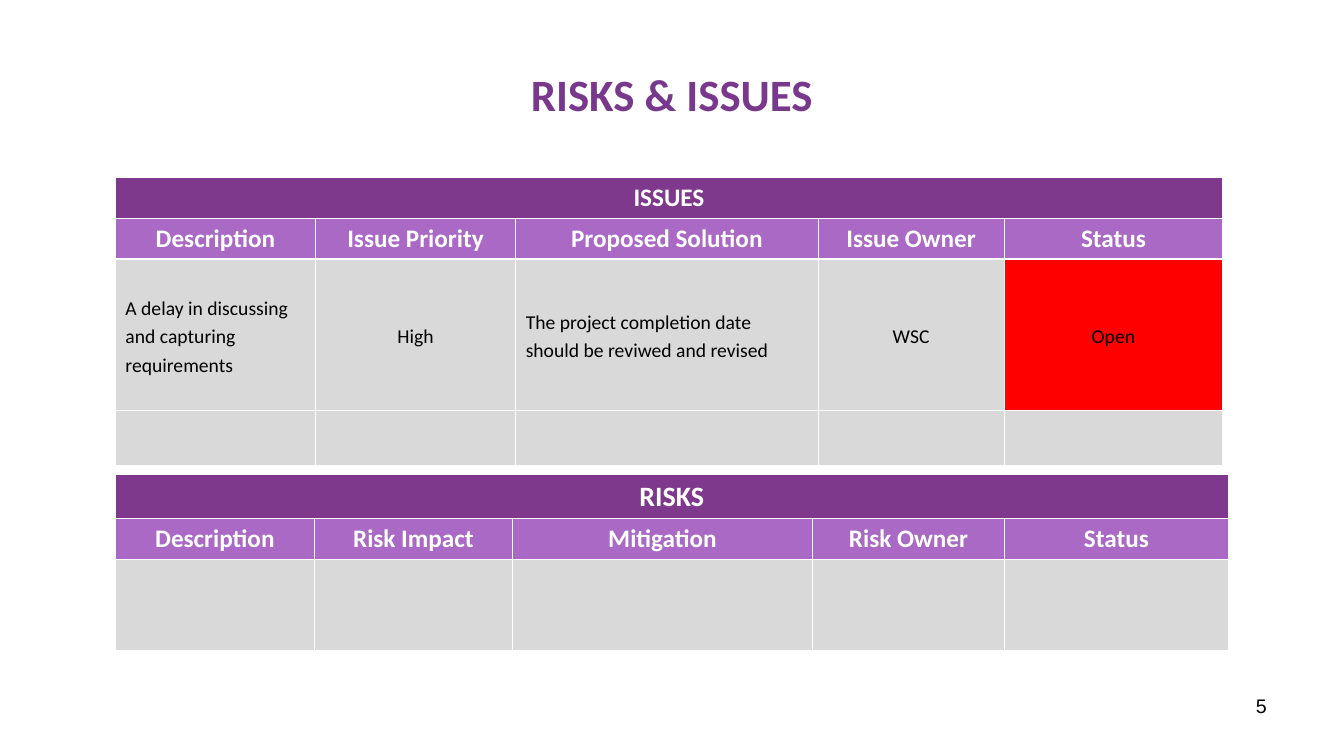
from lxml import etree
from pptx import Presentation
from pptx.dml.color import RGBColor
from pptx.enum import text
from pptx.oxml import ns
from pptx.util import Pt

PURPLE = RGBColor(0x78, 0x39, 0x8D)
BANNER = RGBColor(0x7F, 0x39, 0x8C)
HEADING = RGBColor(0xA9, 0x69, 0xC4)
GREY = RGBColor(0xD9, 0xD9, 0xD9)
RED = RGBColor(0xFF, 0x00, 0x00)
WHITE = RGBColor(0xFF, 0xFF, 0xFF)
BLACK = RGBColor(0x00, 0x00, 0x00)
LEFT, CENTER, RIGHT = text.PP_ALIGN.LEFT, text.PP_ALIGN.CENTER, text.PP_ALIGN.RIGHT
MIDDLE = text.MSO_ANCHOR.MIDDLE


def write(frame, words, size, color, bold=False, align=CENTER, face="Calibri"):
    paragraph = frame.paragraphs[0]
    paragraph.alignment = align
    run = paragraph.add_run()
    run.text = words
    for key, value in {"size": Pt(size), "bold": bold, "name": face}.items():
        setattr(run.font, key, value)
    run.font.color.rgb = color
    return paragraph


def paint(cell, color):
    properties = cell._tc.get_or_add_tcPr()
    for side in ("a:lnL", "a:lnR", "a:lnT", "a:lnB"):
        border = etree.SubElement(properties, ns.qn(side), w=str(Pt(1)))
        solid = etree.SubElement(border, ns.qn("a:solidFill"))
        etree.SubElement(solid, ns.qn("a:srgbClr"), val=str(WHITE))
    cell.fill.solid()
    cell.fill.fore_color.rgb = color


deck = Presentation()
deck.slide_width, deck.slide_height = Pt(960), Pt(540)
slide = deck.slides.add_slide(deck.slide_layouts[5])

title = slide.shapes.title
for key, value in {"left": 48, "top": 21.6, "width": 864, "height": 90}.items():
    setattr(title, key, Pt(value))
title.text_frame.vertical_anchor = MIDDLE
write(title.text_frame, "RISKS & ISSUES", 32, PURPLE, bold=True)

page_number = slide.shapes.add_textbox(Pt(688), Pt(492), Pt(224), Pt(37.5))
page_number.text_frame.word_wrap = True
write(page_number.text_frame, "5", 14, BLACK, align=RIGHT, face="Arial")

issue = ["A delay in discussing and capturing requirements", "High",
         "The project completion date should be reviwed and revised", "WSC", "Open"]
blank = [""] * 5
registers = [
    {"name": "ISSUES", "size": 18, "top": 127,
     "widths": [143, 143, 216, 133, 156], "heights": [29, 29, 108, 39.6],
     "headings": ["Description", "Issue Priority", "Proposed Solution", "Issue Owner", "Status"],
     "entries": [issue, blank]},
    {"name": "RISKS", "size": 20, "top": 339,
     "widths": [142.2, 141.5, 214.3, 137.2, 159.8], "heights": [31.5, 29, 65.5],
     "headings": ["Description", "Risk Impact", "Mitigation", "Risk Owner", "Status"],
     "entries": [blank]},
]

for register in registers:
    widths, heights = register["widths"], register["heights"]
    table = slide.shapes.add_table(len(heights), len(widths), Pt(82.4), Pt(register["top"]),
                                   Pt(sum(widths)), Pt(sum(heights))).table
    for column, width in zip(table.columns, widths):
        column.width = Pt(width)
    for row, height in zip(table.rows, heights):
        row.height = Pt(height)

    banner = table.cell(0, 0)
    banner.merge(table.cell(0, len(widths) - 1))
    for cell in table.rows[0].cells:
        paint(cell, BANNER)
    write(banner.text_frame, register["name"], register["size"], WHITE, bold=True)

    for index, heading in enumerate(register["headings"]):
        cell = table.cell(1, index)
        paint(cell, HEADING)
        write(cell.text_frame, heading, 18, WHITE, bold=True)

    for row_index, entry in enumerate(register["entries"], 2):
        for index, words in enumerate(entry):
            cell = table.cell(row_index, index)
            paint(cell, RED if words == "Open" else GREY)
            if words:
                cell.vertical_anchor = MIDDLE
                align = LEFT if index in (0, 2) else CENTER
                write(cell.text_frame, words, 14, BLACK, align=align).line_spacing = 1.2

deck.save("out.pptx")
